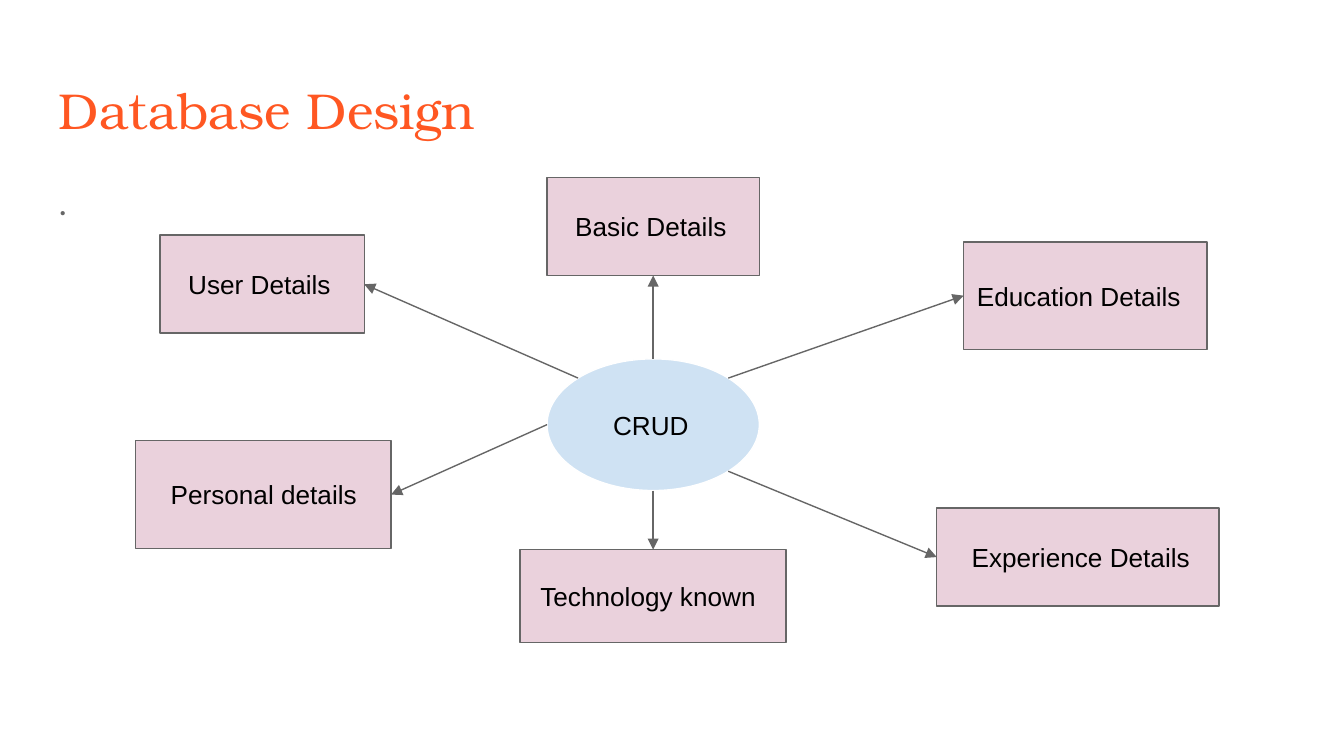
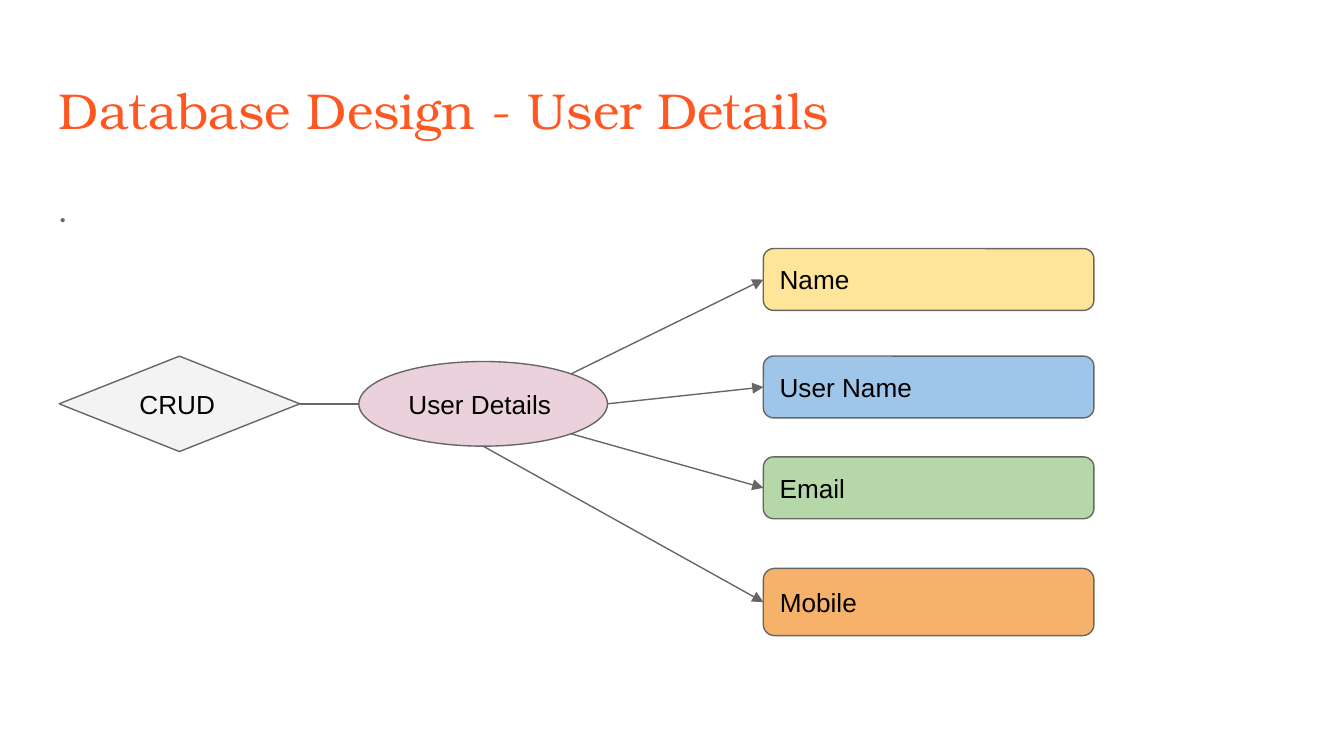
from math import sqrt

from lxml.etree import SubElement
from pptx import Presentation
from pptx.dml.color import RGBColor
from pptx.enum.shapes import MSO_CONNECTOR, MSO_SHAPE
from pptx.enum.text import MSO_ANCHOR, PP_ALIGN
from pptx.oxml.ns import qn
from pptx.util import Pt

PX = 9144  # 100 px to the inch
SLIDE_W = 1000
INSET = 10
COLORS = {
    "title": "FF5722", "grey": "666666", "black": "000000", "white": "FFFFFF",
    "pale_blue": "CFE2F3", "pink": "EAD1DC", "pale_grey": "F3F3F3",
    "yellow": "FFE599", "blue": "9FC5E8", "green": "B6D7A8", "orange": "F6B26B",
}

# Directions from the centre of a shape to a point on its edge
DIAG = 1 / sqrt(2)
TOP, BOTTOM, LEFT, RIGHT = (0, -1), (0, 1), (-1, 0), (1, 0)
TOP_LEFT, TOP_RIGHT, BOTTOM_RIGHT = (-DIAG, -DIAG), (DIAG, -DIAG), (DIAG, DIAG)


def rgb(name):
    return RGBColor.from_string(COLORS[name])


def write(tf, text, size, font, color, indent=0):
    tf.word_wrap = True
    tf.margin_left = (INSET + indent) * PX
    tf.margin_right = tf.margin_top = tf.margin_bottom = INSET * PX
    tf.text = text
    p = tf.paragraphs[0]
    p.alignment = PP_ALIGN.LEFT
    f = p.runs[0].font
    f.size, f.name, f.color.rgb = Pt(size), font, rgb(color)
    return p


def add_text(s, box, *style):
    tb = s.shapes.add_textbox(*(v * PX for v in box))
    return write(tb.text_frame, *style)


def add_node(s, kind, box, text, fill, line="grey", indent=0):
    sp = s.shapes.add_shape(kind, *(v * PX for v in box))
    sp.shadow.inherit = False
    sp.fill.solid()
    sp.fill.fore_color.rgb = rgb(fill)
    sp.line.color.rgb = rgb(line)
    sp.line.width = Pt(0.75)
    sp.text_frame.vertical_anchor = MSO_ANCHOR.MIDDLE
    write(sp.text_frame, text, 14, "Arial", "black", indent)
    return sp


def edge_point(sp, side):
    dx, dy = side
    return (round(sp.left + sp.width * (1 + dx) / 2),
            round(sp.top + sp.height * (1 + dy) / 2))


def link(s, start, start_side, end, end_side, arrow=True):
    c = s.shapes.add_connector(MSO_CONNECTOR.STRAIGHT,
                               *edge_point(start, start_side),
                               *edge_point(end, end_side))
    c.line.color.rgb = rgb("grey")
    c.line.width = Pt(0.75)
    if arrow:
        SubElement(c.line._get_or_add_ln(), qn("a:tailEnd"), type="triangle")
    SubElement(c._element.spPr, qn("a:effectLst"))


def add_slide(prs, title, body_box):
    s = prs.slides.add_slide(prs.slide_layouts[6])
    s.background.fill.solid()
    s.background.fill.fore_color.rgb = rgb("white")
    add_text(s, (34, 49, 932, 63), title, 27, "TeX Gyre Bonum", "title")
    p = add_text(s, body_box, ".", 18, "Lato", "grey")
    p.line_spacing = 1.15
    p.space_after = Pt(12)
    return s


def crud_overview(s, x, y):
    """Hub with six detail boxes around it, from the corner x, y."""
    hub = add_node(s, MSO_SHAPE.OVAL, (x + 306, y + 135, 158, 98), "CRUD",
                   "pale_blue", "white", 16)
    details = [
        ("User Details", 18, 43, 152, 73, 11, TOP_LEFT, RIGHT),
        ("Basic Details", 306, 0, 158, 73, 11, TOP, BOTTOM),
        ("Education Details", 616, 48, 181, 80, 0, TOP_RIGHT, LEFT),
        ("Experience Details", 596, 246, 210, 73, 16, BOTTOM_RIGHT, LEFT),
        ("Personal details", 0, 196, 190, 80, 16, LEFT, RIGHT),
        ("Technology known", 286, 277, 198, 69, 5, BOTTOM, TOP),
    ]
    for text, dx, dy, w, h, indent, hub_side, side in details:
        detail = add_node(s, MSO_SHAPE.RECTANGLE, (x + dx, y + dy, w, h),
                          text, "pink", indent=indent)
        link(s, hub, hub_side, detail, side)


def user_details_tree(s, x, y):
    """CRUD, the user entity and its four fields, from the corner x, y."""
    crud = add_node(s, MSO_SHAPE.DIAMOND, (x, y + 80, 179, 71), "CRUD",
                    "pale_grey", indent=5)
    user = add_node(s, MSO_SHAPE.OVAL, (x + 223, y + 84, 185, 63),
                    "User Details", "pink")
    link(s, crud, RIGHT, user, LEFT, arrow=False)
    fields = [
        ("Name", 0, 46, "yellow", TOP_RIGHT),
        ("User Name", 80, 46, "blue", RIGHT),
        ("Email", 155, 46, "green", BOTTOM_RIGHT),
        ("Mobile", 238, 50, "orange", BOTTOM),
    ]
    for text, dy, h, fill, user_side in fields:
        field = add_node(s, MSO_SHAPE.ROUNDED_RECTANGLE,
                         (x + 524, y + dy, 246, h), text, fill)
        link(s, user, user_side, field, LEFT)


def main():
    prs = Presentation()
    prs.slide_width = SLIDE_W * PX
    prs.slide_height = SLIDE_W * PX * 9 // 16
    s = add_slide(prs, "Database Design", (34, 121, 932, 390))
    crud_overview(s, 101, 132)
    s = add_slide(prs, "Database Design - User Details", (34, 126, 932, 374))
    user_details_tree(s, 44, 185)
    prs.save("out.pptx")


if __name__ == "__main__":
    main()
